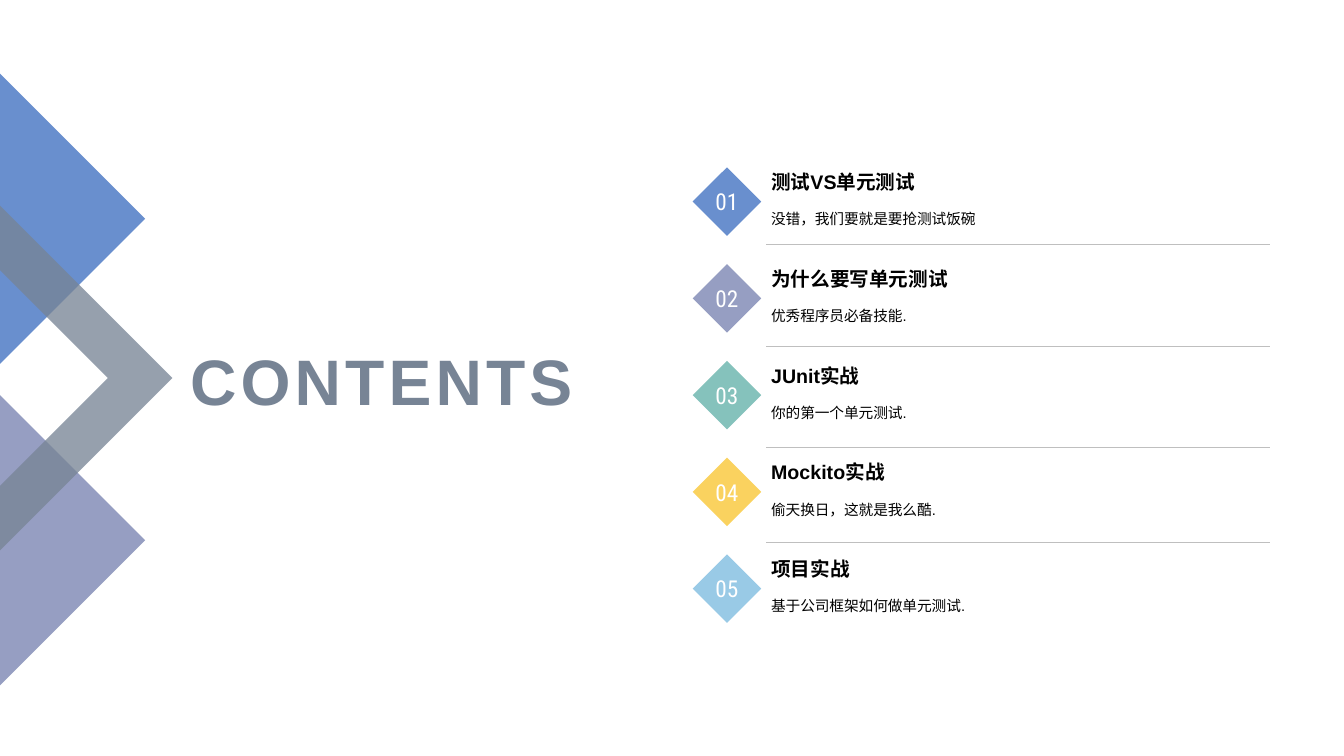
from dataclasses import dataclass

from pptx import Presentation
from pptx.dml.color import RGBColor
from pptx.enum.shapes import MSO_CONNECTOR as Line, MSO_SHAPE as Shape
from pptx.enum.text import MSO_ANCHOR as Anchor, PP_ALIGN as Align
from pptx.oxml.ns import qn
from pptx.util import Inches, Pt
from lxml.etree import SubElement


@dataclass(frozen=True)
class Theme:
    blue: str = "698FCE"
    mauve: str = "969EC2"
    teal: str = "85C2BC"
    gold: str = "FAD25F"
    sky: str = "99CAE6"
    slate: str = "778495"
    rule: str = "BFBFBF"
    white: str = "FFFFFF"
    black: str = "000000"
    sans: str = "Arial"
    slim: str = "Roboto Condensed"
    title: float = 45.9
    num: float = 16.6
    head: float = 14
    note: float = 10.5


@dataclass(frozen=True)
class Topic:
    color: str
    head: str
    note: str


@dataclass(frozen=True)
class Wedge:
    color: str
    points: list[tuple[float, float]]
    alpha: int = 100


T = Theme()
TOP, STEP = 1.66, 0.96
RULES = [2.42, 3.43, 4.44, 5.38]

TOPICS = [
    Topic(T.blue, "测试VS单元测试", "没错，我们要就是要抢测试饭碗"),
    Topic(T.mauve, "为什么要写单元测试", "优秀程序员必备技能."),
    Topic(T.teal, "JUnit实战", "你的第一个单元测试."),
    Topic(T.gold, "Mockito实战", "偷天换日，这就是我么酷."),
    Topic(T.sky, "项目实战", "基于公司框架如何做单元测试."),
]

WEDGES = [
    Wedge(T.mauve, [(0, 3.92), (1.44, 5.36), (0, 6.8)]),
    Wedge(T.blue, [(0, 0.73), (1.44, 2.17), (0, 3.61)]),
    Wedge(T.slate, [(0, 2.04), (1.71, 3.75), (0, 5.46),
                    (0, 4.82), (1.07, 3.75), (0, 2.68)], 77),
]


def paint(shape, color: str) -> None:
    shape.shadow.inherit = False
    shape.fill.solid()
    shape.fill.fore_color.rgb = RGBColor.from_string(color)
    shape.line.fill.background()


def write(shape, text: str, size: float, color: str, face: str = T.sans,
          bold: bool = False, align=Align.LEFT, anchor=Anchor.MIDDLE,
          wrap: bool = True):
    frame = shape.text_frame
    frame.text = text
    frame.word_wrap = wrap
    frame.vertical_anchor = anchor
    para = frame.paragraphs[0]
    para.alignment = align
    font = para.runs[0].font
    font.name, font.size, font.bold = face, Pt(size), bold
    font.color.rgb = RGBColor.from_string(color)
    return para


def add_wedge(slide, wedge: Wedge) -> None:
    first, *rest = [(Inches(x), Inches(y)) for x, y in wedge.points]
    pen = slide.shapes.build_freeform(*first)
    pen.add_line_segments(rest, close=True)
    shape = pen.convert_to_shape()
    paint(shape, wedge.color)
    if wedge.alpha < 100:
        tint = shape.fill._xPr.find(qn("a:solidFill"))[0]
        SubElement(tint, qn("a:alpha")).set("val", str(wedge.alpha * 1000))


def add_title(slide) -> None:
    title = slide.shapes.title
    title.left, title.top = Inches(1.69), Inches(3.26)
    title.width, title.height = Inches(4.09), Inches(1.01)
    para = write(title, "CONTENTS", T.title, T.slate, bold=True,
                 align=Align.RIGHT, wrap=False)
    para.runs[0].font._element.set("spc", "300")


def add_box(slide, top: float, height: float):
    return slide.shapes.add_textbox(Inches(7.55), Inches(top),
                                    Inches(4.33), Inches(height))


def add_topic(slide, index: int, topic: Topic) -> None:
    top = TOP + index * STEP
    gem = slide.shapes.add_shape(Shape.DIAMOND, Inches(6.87), Inches(top),
                                 Inches(0.68), Inches(0.68))
    paint(gem, topic.color)
    write(gem, f"{index + 1:02}", T.num, T.white, T.slim,
          align=Align.CENTER, wrap=False)
    write(add_box(slide, top - 0.02, 0.33), topic.head, T.head, T.black,
          bold=True, anchor=Anchor.BOTTOM)
    note = write(add_box(slide, top + 0.32, 0.35), topic.note, T.note, T.black)
    note.line_spacing = 1.2


def add_rule(slide, y: float) -> None:
    rule = slide.shapes.add_connector(Line.STRAIGHT, Inches(7.6), Inches(y),
                                      Inches(12.6), Inches(y))
    rule.line.color.rgb = RGBColor.from_string(T.rule)
    rule.line.width = Pt(0.25)
    SubElement(rule._element.spPr, qn("a:effectLst"))


def main() -> None:
    deck = Presentation()
    deck.slide_width, deck.slide_height = Inches(13.33), Inches(7.5)
    slide = deck.slides.add_slide(deck.slide_layouts[5])

    # Left side: wedges and title
    for wedge in WEDGES:
        add_wedge(slide, wedge)
    add_title(slide)

    # Right side: topics and the rules between them
    for index, topic in enumerate(TOPICS):
        add_topic(slide, index, topic)
    for y in RULES:
        add_rule(slide, y)

    deck.save("out.pptx")


if __name__ == "__main__":
    main()
